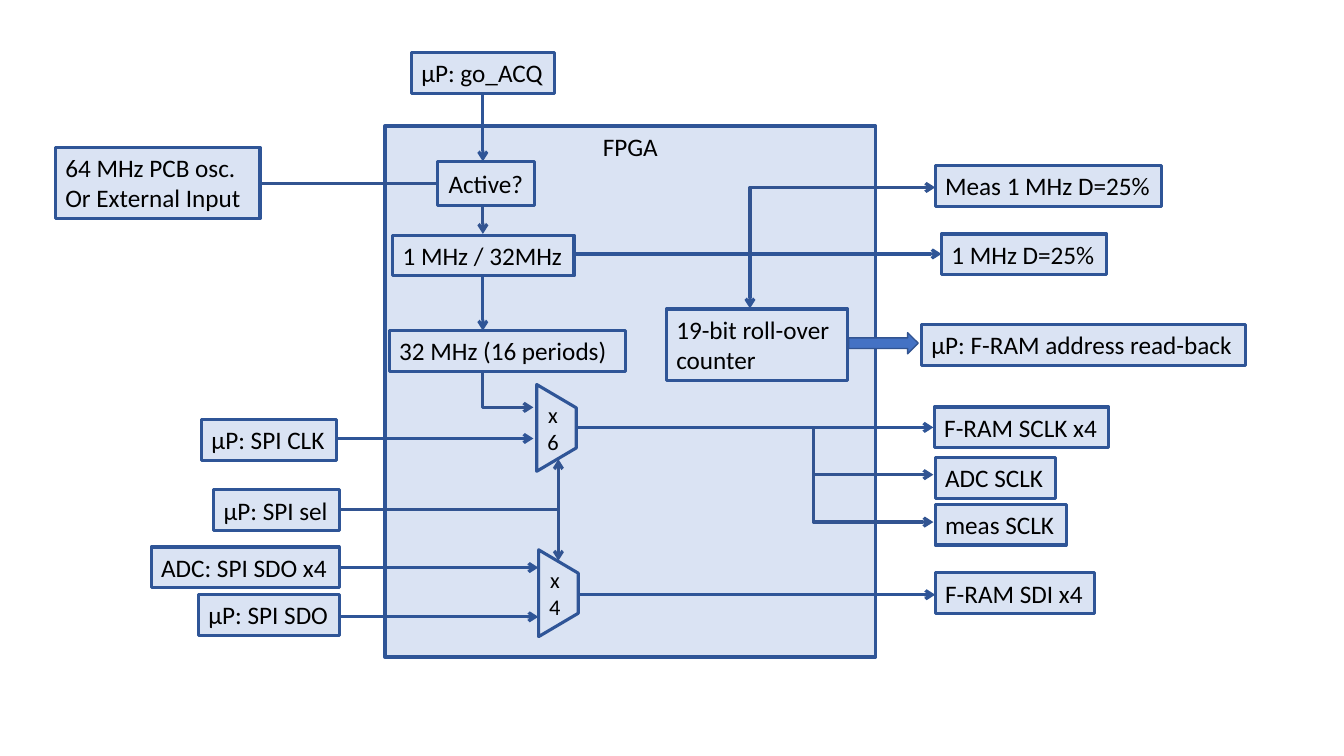
"""Build the FPGA clock and SPI routing diagram slide."""
from dataclasses import dataclass

from lxml import etree
from pptx import Presentation
from pptx.dml.color import RGBColor
from pptx.enum.shapes import MSO_CONNECTOR, MSO_SHAPE
from pptx.enum.text import MSO_ANCHOR, PP_ALIGN
from pptx.oxml.ns import qn
from pptx.util import Pt

RECT = MSO_SHAPE.RECTANGLE
TRAP = MSO_SHAPE.TRAPEZOID
ARROW = MSO_SHAPE.RIGHT_ARROW
STRAIGHT = MSO_CONNECTOR.STRAIGHT
TOP, MIDDLE = MSO_ANCHOR.TOP, MSO_ANCHOR.MIDDLE
LEFT, CENTER = PP_ALIGN.LEFT, PP_ALIGN.CENTER


@dataclass(frozen=True)
class Theme:
    """Colours, font and sizes of the slide."""
    pale: RGBColor = RGBColor(0xDA, 0xE3, 0xF3)
    edge: RGBColor = RGBColor(0x2F, 0x55, 0x97)
    bend: RGBColor = RGBColor(0x32, 0x54, 0x91)
    bus: RGBColor = RGBColor(0x44, 0x72, 0xC4)
    ink: RGBColor = RGBColor(0, 0, 0)
    font: str = "Calibri"
    body: float = 18
    small: float = 16
    line: float = 2.25
    thin: float = 1


@dataclass(frozen=True)
class Box:
    """A labelled block, in points."""
    text: str
    x: float
    y: float
    w: float
    h: float = 29.1
    fill: bool = True
    align: PP_ALIGN = LEFT
    anchor: MSO_ANCHOR = TOP


@dataclass(frozen=True)
class Wire:
    """An arrow through two or three points."""
    pts: tuple[tuple[float, float], ...]


THEME = Theme()
AXIS = 344.9
TAP = 581
SEL = 398.9
COUNT = 535.7
PORT = 668

FRAME = Box("FPGA", 275, 90, 350.6, 379.4, align=CENTER)
BOXES = [
    Box("64 MHz PCB osc.\nOr External Input", 39.6, 105.4, 146.2, 50.9),
    Box("µP: go_ACQ", 293.8, 37.6, 102.2),
    Box("Active?", 312.5, 115.3, 69.1, 31.7, align=CENTER, anchor=MIDDLE),
    Box("1 MHz / 32MHz", 280.5, 168, 129.6, fill=False),
    Box("32 MHz (16 periods)", 278, 236.2, 168.8, fill=False),
    Box("19-bit roll-over counter", 476, 220.7, 129.6, 50.9, fill=False),
    Box("µP: SPI CLK", 144, 299.6, 96.5),
    Box("µP: SPI sel", 152.6, 349.9, 90),
    Box("ADC: SPI SDO x4", 108, 390.7, 134.3),
    Box("µP: SPI SDO", 141.8, 424.8, 100.8),
    Box("Meas 1 MHz D=25%", PORT, 118.2, 161.5),
    Box("1 MHz D=25%", 672.5, 167.1, 118.1),
    Box("µP: F-RAM address read-back", 658.2, 231.8, 231.3),
    Box("F-RAM SCLK x4", 667.4, 290.7, 124.6),
    Box("ADC SCLK", PORT, 326.7, 85.7),
    Box("meas SCLK", PORT, 360.2, 93.6),
    Box("F-RAM SDI x4", PORT, 409.2, 113.8),
]
MUXES = [Box("x6", 366.5, 291.5, 62, 28.3), Box("x4", 367.9, 409.6, 62, 28.3)]
WIRES = [
    Wire(((411.8, 305.3), (666.7, 305.3))),
    Wire(((409, 181.4), (672.5, 181.4))),
    Wire(((240.5, 313.2), (381, 313.2))),
    Wire(((185.8, 131), (AXIS, 131), (AXIS, 167.1))),
    Wire(((AXIS, 196.6), (AXIS, 236.2))),
    Wire(((AXIS, 266.4), (AXIS, 291), (381, 291))),
    Wire(((242.6, 364.2), (SEL, 364.2), (SEL, 328))),
    Wire(((242.6, 364.2), (SEL, 364.2), (SEL, 400.5))),
    Wire(((243.4, 440.6), (384.5, 440.6))),
    Wire(((243.4, 405.4), (384.5, 405.4))),
    Wire(((413.3, 424.8), (PORT, 424.8))),
    Wire(((AXIS, 67), (AXIS, 115.3))),
    Wire(((COUNT, 182.9), (COUNT, 220.3))),
    Wire(((TAP, 305.3), (TAP, 339.1), (666.7, 339.1))),
    Wire(((TAP, 338.8), (TAP, 372.9), (666.7, 372.9))),
    Wire(((COUNT, 181.4), (COUNT, 133.9), (PORT, 133.9))),
]


def write(shape, box: Box, size: float) -> None:
    """Set the label of a block, one paragraph a line."""
    frame = shape.text_frame
    frame.word_wrap = True
    frame.vertical_anchor = box.anchor
    if box.align == LEFT:
        frame.margin_right = Pt(0)
    for i, text in enumerate(box.text.split("\n")):
        para = frame.add_paragraph() if i else frame.paragraphs[0]
        para.alignment = box.align
        run = para.add_run()
        run.text = text
        run.font.name = THEME.font
        run.font.size = Pt(size)
        run.font.color.rgb = THEME.ink


def block(slide, kind: MSO_SHAPE, box: Box):
    """Add a filled or open preset shape with the common edge."""
    shape = slide.shapes.add_shape(kind, Pt(box.x), Pt(box.y), Pt(box.w), Pt(box.h))
    shape.shadow.inherit = False
    if box.fill:
        shape.fill.solid()
        shape.fill.fore_color.rgb = THEME.pale
    else:
        shape.fill.background()
    shape.line.color.rgb = THEME.edge
    shape.line.width = Pt(THEME.line)
    return shape


def label(slide, box: Box) -> None:
    """Add a rectangle with its label."""
    write(block(slide, RECT, box), box, THEME.body)


def mux(slide, box: Box) -> None:
    """Add a multiplexer with upright text."""
    shape = block(slide, TRAP, box)
    shape.adjustments[0] = 0.59
    shape.rotation = 90
    mid = Box(box.text, box.x, box.y, box.w, box.h, align=CENTER, anchor=MIDDLE)
    write(shape, mid, THEME.small)
    shape.text_frame._txBody.bodyPr.set("vert", "vert270")


def wire(slide, item: Wire) -> None:
    """Add a straight or bent line with an open arrowhead."""
    pts = [(Pt(x), Pt(y)) for x, y in item.pts]
    if len(pts) == 2:
        shape = slide.shapes.add_connector(STRAIGHT, *pts[0], *pts[1])
        shape.line.color.rgb = THEME.edge
        etree.SubElement(shape._element.spPr, qn("a:effectLst"))
    else:
        path = slide.shapes.build_freeform(*pts[0])
        path.add_line_segments(pts[1:], close=False)
        shape = path.convert_to_shape()
        shape.shadow.inherit = False
        shape.fill.background()
        shape.line.color.rgb = THEME.bend
    shape.line.width = Pt(THEME.line)
    etree.SubElement(shape.line._get_or_add_ln(), qn("a:tailEnd"), type="arrow")


def bus(slide) -> None:
    """Add the wide arrow from the counter."""
    shape = block(slide, ARROW, Box("", 606.2, 237.6, 49.7, 15.1))
    shape.fill.fore_color.rgb = THEME.bus
    shape.line.color.rgb = THEME.bend
    shape.line.width = Pt(THEME.thin)


def main() -> None:
    """Draw the slide and save it."""
    deck = Presentation()
    deck.slide_width, deck.slide_height = Pt(960), Pt(540)
    slide = deck.slides.add_slide(deck.slide_layouts[6])
    label(slide, FRAME)
    for item in WIRES:
        wire(slide, item)
    for box in BOXES:
        label(slide, box)
    for box in MUXES:
        mux(slide, box)
    bus(slide)
    deck.save("out.pptx")


main()
